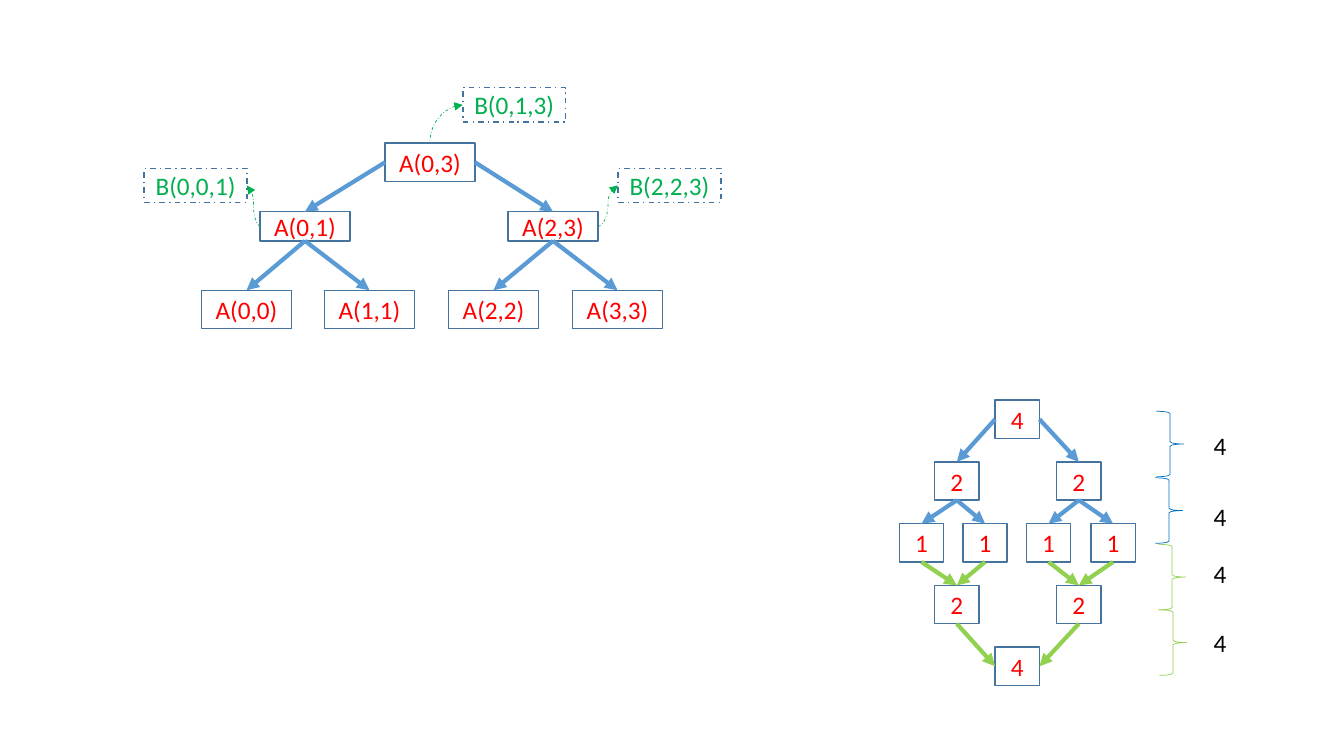
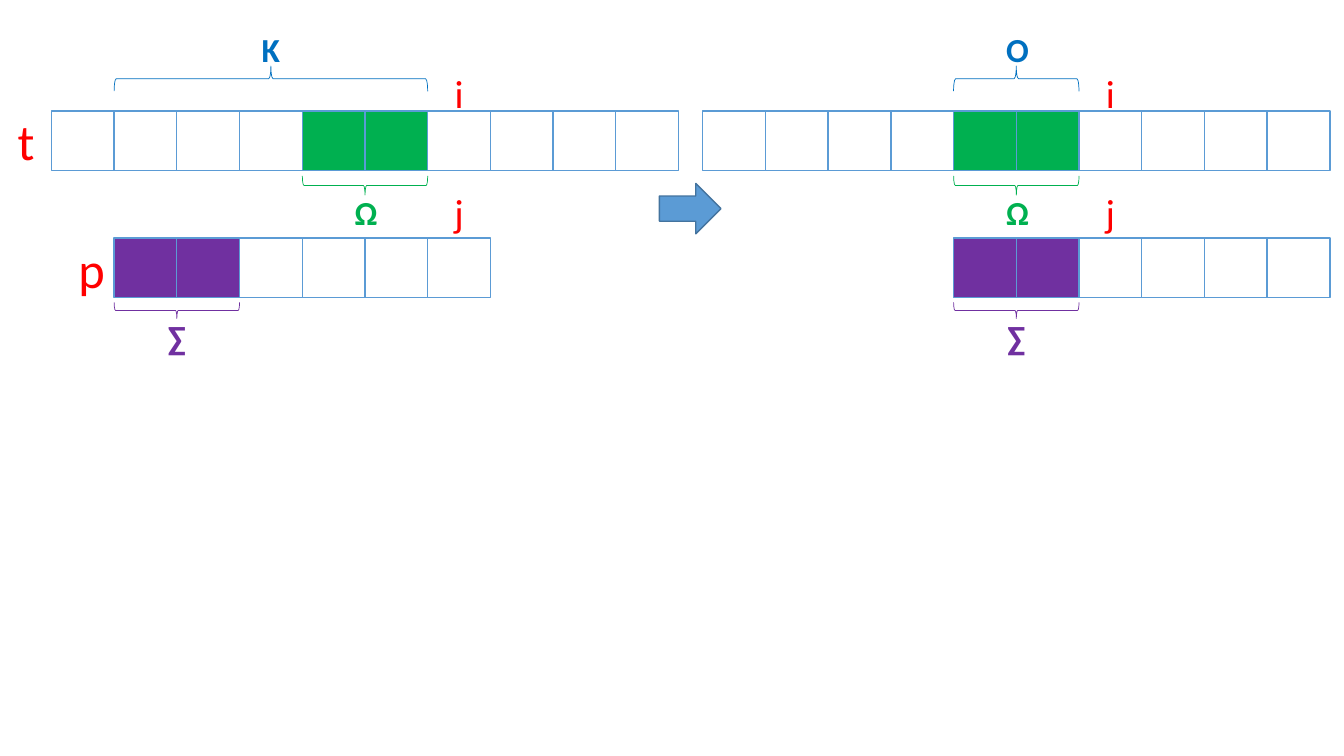
from dataclasses import dataclass
from enum import IntEnum

from lxml.etree import SubElement
from pptx import Presentation
from pptx.dml.color import RGBColor
from pptx.enum.dml import MSO_LINE
from pptx.enum.shapes import MSO_CONNECTOR, MSO_SHAPE
from pptx.enum.text import MSO_ANCHOR, MSO_AUTO_SIZE, PP_ALIGN
from pptx.oxml.ns import qn
from pptx.shapes.autoshape import Shape
from pptx.shapes.connector import Connector
from pptx.slide import Slide
from pptx.text.text import TextFrame
from pptx.util import Inches, Pt

FONT = "Calibri"
RED, BLACK, WHITE = "FF0000", "000000", "FFFFFF"
BLUE, NAVY, SKY = "0070C0", "43739E", "5B9BD5"
GREEN, LIME, PURPLE = "00B050", "92D050", "7030A0"

CELL_WIDTH = 6.22 / 10
CELL_HEIGHT = 0.59
TEXT_TOP, PATTERN_TOP = 1.1, 2.36
TEXT_CELLS, PATTERN_CELLS = 10, 6
MATCH_START, MISMATCH = 4, 6


class Side(IntEnum):
    TOP = 0
    LEFT = 1
    BOTTOM = 2
    RIGHT = 3


@dataclass(frozen=True)
class Node:
    name: str
    text: str
    left: float
    top: float
    width: float
    height: float = 0.38
    color: str = RED
    dash: MSO_LINE | None = None


@dataclass(frozen=True)
class Edge:
    start: str
    start_side: Side
    end: str
    end_side: Side
    color: str = SKY


@dataclass(frozen=True)
class Panel:
    left: float
    shift: int
    shift_label: str


def call_node(text: str, left: float, top: float, height: float = 0.38) -> Node:
    return Node(text, text, left, top, 0.89, height)


def merge_node(text: str, left: float, top: float) -> Node:
    return Node(text, text, left, top, 1.02, 0.34, GREEN, MSO_LINE.DASH_DOT)


def size_node(name: str, left: float, level: int) -> Node:
    return Node(name, name[0], left, 3.97 + level * 2.45 / 4, 0.44)


TREE_NODES = [
    call_node("A(0,3)", 3.82, 1.42),
    call_node("A(0,1)", 2.58, 2.1, 0.29),
    call_node("A(2,3)", 5.04, 2.1, 0.29),
    call_node("A(0,0)", 2, 2.88),
    call_node("A(1,1)", 3.22, 2.88),
    call_node("A(2,2)", 4.45, 2.88),
    call_node("A(3,3)", 5.68, 2.88),
    merge_node("B(0,0,1)", 1.43, 1.67),
    merge_node("B(2,2,3)", 6.13, 1.67),
    merge_node("B(0,1,3)", 4.59, 0.87),
]
TREE_EDGES = [
    Edge("A(0,3)", Side.LEFT, "A(0,1)", Side.TOP),
    Edge("A(0,3)", Side.RIGHT, "A(2,3)", Side.TOP),
    Edge("A(0,1)", Side.BOTTOM, "A(0,0)", Side.TOP),
    Edge("A(0,1)", Side.BOTTOM, "A(1,1)", Side.TOP),
    Edge("A(2,3)", Side.BOTTOM, "A(2,2)", Side.TOP),
    Edge("A(2,3)", Side.BOTTOM, "A(3,3)", Side.TOP),
]
MERGE_CURVES = [
    Edge("A(0,1)", Side.LEFT, "B(0,0,1)", Side.RIGHT, GREEN),
    Edge("A(2,3)", Side.RIGHT, "B(2,2,3)", Side.LEFT, GREEN),
]
ROOT_CURVE = Edge("B(0,1,3)", Side.LEFT, "A(0,3)", Side.TOP, GREEN)

SIZE_NODES = [
    size_node("4 split", 9.87, 0),
    size_node("2 split left", 9.27, 1),
    size_node("2 split right", 10.48, 1),
    size_node("1 first", 8.92, 2),
    size_node("1 second", 9.55, 2),
    size_node("1 third", 10.18, 2),
    size_node("1 fourth", 10.82, 2),
    size_node("2 merge left", 9.27, 3),
    size_node("2 merge right", 10.48, 3),
    size_node("4 merge", 9.87, 4),
]
HALVES = [
    ("left", Side.LEFT, ("1 first", "1 second")),
    ("right", Side.RIGHT, ("1 third", "1 fourth")),
]
LEVEL_BRACES = [
    (11.47, 4.08, BLUE),
    (11.46, 4.74, BLUE),
    (11.49, 5.4, LIME),
    (11.5, 6.05, LIME),
]
LEVEL_LABEL_TOPS = [4.22, 4.92, 5.49, 6.17]
PANELS = [Panel(0.51, 1, "Κ"), Panel(6.97, 4, "Ο")]


def rgb(color: str) -> RGBColor:
    return RGBColor.from_string(color)


def write(frame: TextFrame, text: str, size: float, color: str, bold: bool = False) -> None:
    paragraph = frame.paragraphs[0]
    paragraph.alignment = PP_ALIGN.CENTER
    run = paragraph.add_run()
    run.text = text
    run.font.name = FONT
    run.font.size = Pt(size)
    run.font.bold = bold
    run.font.color.rgb = rgb(color)


def add_shape(slide: Slide, kind: MSO_SHAPE, left: float, top: float, width: float,
              height: float, line: str, fill: str | None = None,
              weight: float = 1) -> Shape:
    shape = slide.shapes.add_shape(
        kind, Inches(left), Inches(top), Inches(width), Inches(height))
    shape.shadow.inherit = False
    if fill:
        shape.fill.solid()
        shape.fill.fore_color.rgb = rgb(fill)
    else:
        shape.fill.background()
    shape.line.color.rgb = rgb(line)
    shape.line.width = Pt(weight)
    return shape


def add_label(slide: Slide, text: str, center: float, top: float, size: float,
              color: str, bold: bool = False) -> None:
    width = 0.4
    box = slide.shapes.add_textbox(
        Inches(center - width / 2), Inches(top), Inches(width), Inches(size / 60 + 0.1))
    box.text_frame.word_wrap = False
    box.text_frame.auto_size = MSO_AUTO_SIZE.SHAPE_TO_FIT_TEXT
    write(box.text_frame, text, size, color, bold)


def add_node(slide: Slide, node: Node) -> Shape:
    shape = add_shape(slide, MSO_SHAPE.RECTANGLE, node.left, node.top,
                      node.width, node.height, NAVY)
    if node.dash:
        shape.line.dash_style = node.dash
    shape.text_frame.vertical_anchor = MSO_ANCHOR.MIDDLE
    write(shape.text_frame, node.text, 18, node.color)
    return shape


def add_edge(slide: Slide, shapes: dict[str, Shape], edge: Edge,
             curved: bool = False, arrow_end: str = "a:tailEnd") -> Connector:
    kind = MSO_CONNECTOR.CURVE if curved else MSO_CONNECTOR.STRAIGHT
    connector = slide.shapes.add_connector(kind, 0, 0, 0, 0)
    connector.begin_connect(shapes[edge.start], edge.start_side)
    connector.end_connect(shapes[edge.end], edge.end_side)
    connector.line.color.rgb = rgb(edge.color)
    connector.line.width = Pt(0.5 if curved else 3)
    if curved:
        connector.line.dash_style = MSO_LINE.DASH_DOT
    properties = connector.element.spPr
    SubElement(properties.find(qn("a:ln")), qn(arrow_end), type="triangle")
    SubElement(properties, qn("a:effectLst"))
    return connector


def add_graph(slide: Slide, nodes: list[Node], edges: list[Edge]) -> dict[str, Shape]:
    shapes = {node.name: add_node(slide, node) for node in nodes}
    for edge in edges:
        add_edge(slide, shapes, edge)
    return shapes


def size_edges() -> list[Edge]:
    edges = []
    for half, side, leaves in HALVES:
        split, merge = f"2 split {half}", f"2 merge {half}"
        edges.append(Edge("4 split", side, split, Side.TOP))
        for leaf in leaves:
            edges.append(Edge(split, Side.BOTTOM, leaf, Side.TOP))
            edges.append(Edge(leaf, Side.BOTTOM, merge, Side.TOP, LIME))
        edges.append(Edge(merge, Side.BOTTOM, "4 merge", side, LIME))
    return edges


def build_recursion_slide(slide: Slide) -> None:
    shapes = add_graph(slide, TREE_NODES, TREE_EDGES)
    for edge in MERGE_CURVES:
        add_edge(slide, shapes, edge, curved=True)
    root_curve = add_edge(slide, shapes, ROOT_CURVE, curved=True, arrow_end="a:headEnd")
    root_curve.element.spPr.find(qn("a:prstGeom")).set("prst", "curvedConnector2")

    add_graph(slide, SIZE_NODES, size_edges())
    for left, top, color in LEVEL_BRACES:
        add_shape(slide, MSO_SHAPE.RIGHT_BRACE, left, top, 0.27, 0.65, color, weight=0.5)
    for top in LEVEL_LABEL_TOPS:
        add_label(slide, "4", 12.1, top, 18, BLACK)


def add_strip(slide: Slide, left: float, top: float, count: int,
              marked: range, color: str) -> None:
    for index in range(count):
        add_shape(slide, MSO_SHAPE.RECTANGLE, left + index * CELL_WIDTH, top,
                  CELL_WIDTH, CELL_HEIGHT, SKY, color if index in marked else WHITE)


def add_span(slide: Slide, panel: Panel, first: int, last: int, middle: float,
             depth: float, rotation: int, text: str, text_top: float, color: str) -> None:
    length = (last - first) * CELL_WIDTH
    center = panel.left + (first + last) / 2 * CELL_WIDTH
    brace = add_shape(slide, MSO_SHAPE.RIGHT_BRACE, center - depth / 2,
                      middle - length / 2, depth, length, color, weight=0.5)
    brace.rotation = rotation
    add_label(slide, text, center, text_top, 24, color, bold=True)


def add_panel(slide: Slide, panel: Panel) -> None:
    shift = panel.shift
    add_strip(slide, panel.left, TEXT_TOP, TEXT_CELLS,
              range(MATCH_START, MISMATCH), GREEN)
    add_strip(slide, panel.left + shift * CELL_WIDTH, PATTERN_TOP, PATTERN_CELLS,
              range(2), PURPLE)
    add_span(slide, panel, shift, MISMATCH, 0.78, 0.25, 270,
             panel.shift_label, 0.24, BLUE)
    add_span(slide, panel, MATCH_START, MISMATCH, 1.84, 0.19, 90, "Ω", 1.85, GREEN)
    add_span(slide, panel, shift, shift + 2, 3.08, 0.16, 90, "∑", 3.09, PURPLE)
    for text, top in (("i", 0.64), ("j", 1.82)):
        add_label(slide, text, panel.left + (MISMATCH + 0.5) * CELL_WIDTH, top, 28, RED)


def build_matching_slide(slide: Slide) -> None:
    for panel in PANELS:
        add_panel(slide, panel)
    add_label(slide, "t", 0.26, 1.04, 36, RED)
    add_label(slide, "p", 0.88, 2.31, 36, RED)
    add_shape(slide, MSO_SHAPE.RIGHT_ARROW, 6.54, 1.82, 0.61, 0.5, NAVY, SKY)


def main() -> None:
    presentation = Presentation()
    presentation.slide_width = Inches(13.33)
    presentation.slide_height = Inches(7.5)
    blank_layout = presentation.slide_layouts[6]
    for build in (build_recursion_slide, build_matching_slide):
        build(presentation.slides.add_slide(blank_layout))
    presentation.save("out.pptx")


if __name__ == "__main__":
    main()
